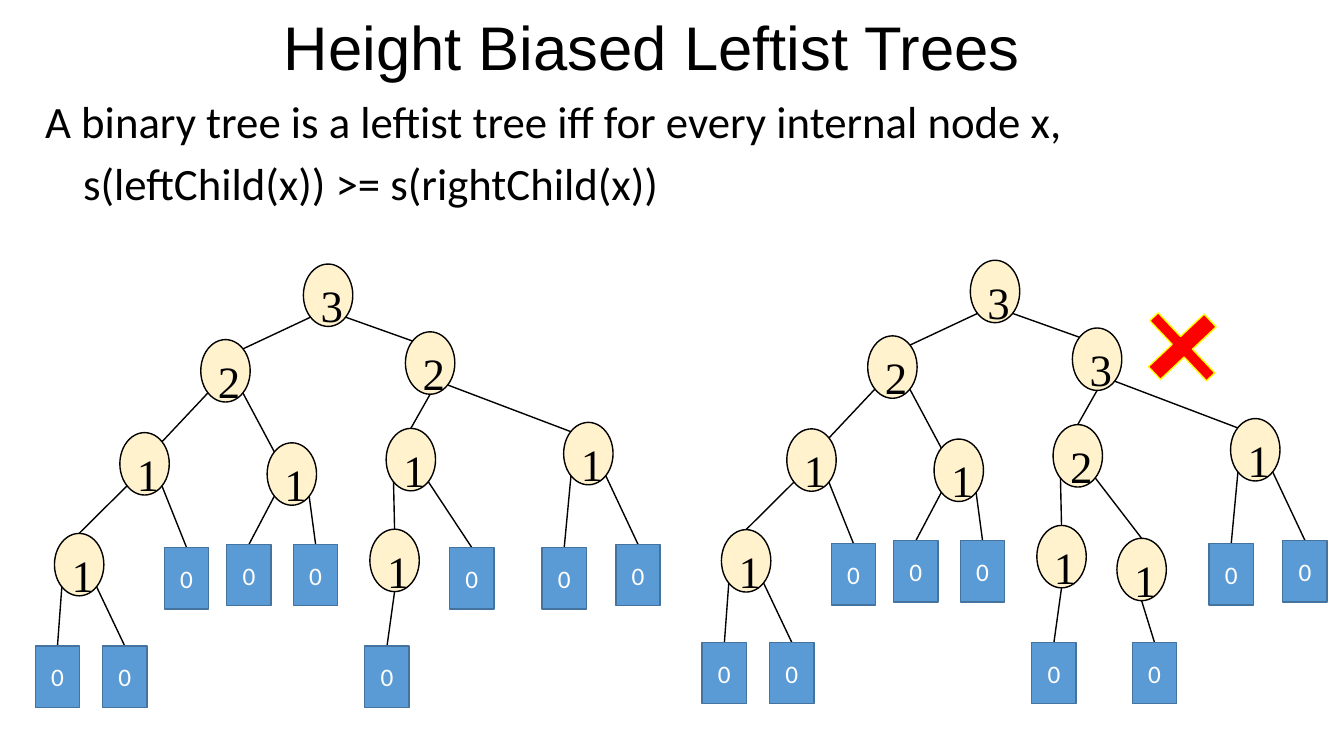
"""Build a slide contrasting a height biased leftist tree with a tree that is not one."""
from lxml import etree
from pptx import Presentation
from pptx import util as u
from pptx.dml import color
from pptx.enum import shapes, text
from pptx.oxml import ns

COLORS = {
    "black": "000000", "white": "FFFFFF", "cream": "FFF2CC", "blue": "5B9BD5",
    "dark_blue": "43739E", "red": "FF0000", "yellow": "FFFF00",
}
NODE_SIZE = (35.3, 44.6)
LEAF_SIZE = (31.7, 43.9)
SECOND_TREE_OFFSET = (476.4, -2.7)

TOP, BOTTOM = (0.5, 0), (0.5, 1)
UPPER_LEFT, UPPER_RIGHT = (0.15, 0.15), (0.85, 0.15)
LOWER_LEFT, LOWER_RIGHT = (0.15, 0.85), (0.85, 0.85)

LEFTIST_TREE = {
    "": ("3", 216.7, 188.6, None, None),
    "L": ("2", 143.4, 242.6, LOWER_LEFT, UPPER_RIGHT),
    "R": ("2", 289.6, 237, LOWER_RIGHT, UPPER_LEFT),
    "LL": ("1", 85.6, 309, LOWER_LEFT, UPPER_RIGHT),
    "LR": ("1", 190.8, 316.3, LOWER_RIGHT, UPPER_LEFT),
    "RL": ("1", 275.8, 306, BOTTOM, TOP),
    "RR": ("1", 402.6, 301.7, LOWER_RIGHT, UPPER_LEFT),
    "LLL": ("1", 38.9, 381, LOWER_LEFT, TOP),
    "LLR": ("0", 117.4, 391, LOWER_RIGHT, TOP),
    "LRL": ("0", 162, 388.8, LOWER_LEFT, TOP),
    "LRR": ("0", 209.6, 388.8, LOWER_RIGHT, TOP),
    "RLL": ("1", 264.2, 378, LOWER_LEFT, TOP),
    "RLR": ("0", 321.1, 391, LOWER_RIGHT, TOP),
    "RRL": ("0", 387.2, 391, LOWER_LEFT, TOP),
    "RRR": ("0", 439.9, 388.8, LOWER_RIGHT, TOP),
    "LLLL": ("0", 25.2, 461.5, LOWER_LEFT, TOP),
    "LLLR": ("0", 73.3, 461.5, LOWER_RIGHT, TOP),
    "RLLL": ("0", 260.6, 461.5, BOTTOM, TOP),
}
OTHER_TREE = LEFTIST_TREE | {
    "R": ("3", *LEFTIST_TREE["R"][1:]),
    "RL": ("2", *LEFTIST_TREE["RL"][1:]),
    "RLR": ("1", 321.4, 387.2, LOWER_RIGHT, TOP),
    "RLRR": ("0", 332.4, 461.5, BOTTOM, TOP),
}


def rgb(name):
    """Return the named colour."""
    return color.RGBColor.from_string(COLORS[name])


def points(*lengths):
    """Return the lengths as points."""
    return [u.Pt(length) for length in lengths]


def write(paragraph, content, *, font, size, ink="black", align=text.PP_ALIGN.LEFT,
          spacing=1.0, before=0, indent=0):
    """Put formatted text into a paragraph."""
    run = paragraph.add_run()
    run.text = content
    run.font.name = font
    run.font.size = u.Pt(size)
    run.font.color.rgb = rgb(ink)
    paragraph.alignment = align
    paragraph.line_spacing = spacing
    paragraph.space_before = u.Pt(before)
    if indent:
        paragraph._p.get_or_add_pPr().set("marL", str(u.Pt(indent)))


def add_shape(slide, kind, box, fill, line):
    """Add a flat preset shape with a thin outline."""
    shape = slide.shapes.add_shape(kind, *points(*box))
    shape.shadow.inherit = False
    shape.fill.solid()
    shape.fill.fore_color.rgb = rgb(fill)
    shape.line.color.rgb = rgb(line)
    shape.line.width = u.Pt(1)
    return shape


def add_edge(slide, start, end):
    """Add a thin black line between two points."""
    edge = slide.shapes.add_connector(
        shapes.MSO_CONNECTOR.STRAIGHT, *points(*start, *end))
    edge.line.color.rgb = rgb("black")
    edge.line.width = u.Pt(1)
    etree.SubElement(edge._element.spPr, ns.qn("a:effectLst"))


def add_node(slide, label, box):
    """Add an internal node as an oval with its s value."""
    node = add_shape(slide, shapes.MSO_SHAPE.OVAL, box, "cream", "black")
    node.text_frame.vertical_anchor = text.MSO_ANCHOR.TOP
    write(node.text_frame.paragraphs[0], label, font="Times New Roman", size=32)


def add_leaf(slide, label, box):
    """Add an external node as a blue box."""
    leaf = add_shape(slide, shapes.MSO_SHAPE.RECTANGLE, box, "blue", "dark_blue")
    leaf.text_frame.vertical_anchor = text.MSO_ANCHOR.MIDDLE
    write(leaf.text_frame.paragraphs[0], label, font="Calibri", size=18,
          ink="white", align=text.PP_ALIGN.CENTER)


def site(box, fraction):
    """Return the point at a fraction of a box's width and height."""
    left, top, width, height = box
    return left + width * fraction[0], top + height * fraction[1]


def add_tree(slide, tree, offset=(0, 0)):
    """Draw the nodes, keyed by their left and right turns from the root, and the edges."""
    boxes = {}
    for way, (label, left, top, start, end) in tree.items():
        is_leaf = label == "0"
        size = LEAF_SIZE if is_leaf else NODE_SIZE
        boxes[way] = (left + offset[0], top + offset[1], *size)
        if way:
            add_edge(slide, site(boxes[way[:-1]], start), site(boxes[way], end))
        (add_leaf if is_leaf else add_node)(slide, label, boxes[way])


def set_title(slide, content):
    """Place and format the slide title."""
    title = slide.shapes.title
    title.left, title.top, title.width, title.height = points(160, -8.6, 612, 90)
    title.text_frame.vertical_anchor = text.MSO_ANCHOR.MIDDLE
    title.text_frame.auto_size = text.MSO_AUTO_SIZE.NONE
    write(title.text_frame.paragraphs[0], content, font="Arial", size=44,
          align=text.PP_ALIGN.CENTER, spacing=0.9)


def add_definition(slide, lines):
    """Add the definition, with its second line indented."""
    frame = slide.shapes.add_textbox(*points(25.2, 67.7, 903.6, 472.3)).text_frame
    frame.word_wrap = True
    for number, line in enumerate(lines):
        paragraph = frame.add_paragraph() if number else frame.paragraphs[0]
        write(paragraph, line, font="Calibri", size=32, spacing=0.9, before=10,
              indent=27 * number)


def main():
    """Build and save the slide."""
    presentation = Presentation()
    presentation.slide_width, presentation.slide_height = points(960, 540)
    slide = presentation.slides.add_slide(presentation.slide_layouts[5])
    set_title(slide, "Height Biased Leftist Trees")
    add_definition(slide, [
        "A binary tree is a leftist tree iff for every internal node x,",
        "s(leftChild(x)) >= s(rightChild(x))",
    ])
    add_tree(slide, LEFTIST_TREE)
    add_tree(slide, OTHER_TREE, SECOND_TREE_OFFSET)
    wrong_mark = add_shape(slide, shapes.MSO_SHAPE.CROSS, (817.2, 218.2, 54.7, 59),
                           "red", "yellow")
    wrong_mark.adjustments[0] = 0.425
    wrong_mark.rotation = 316.7
    presentation.save("out.pptx")


main()
